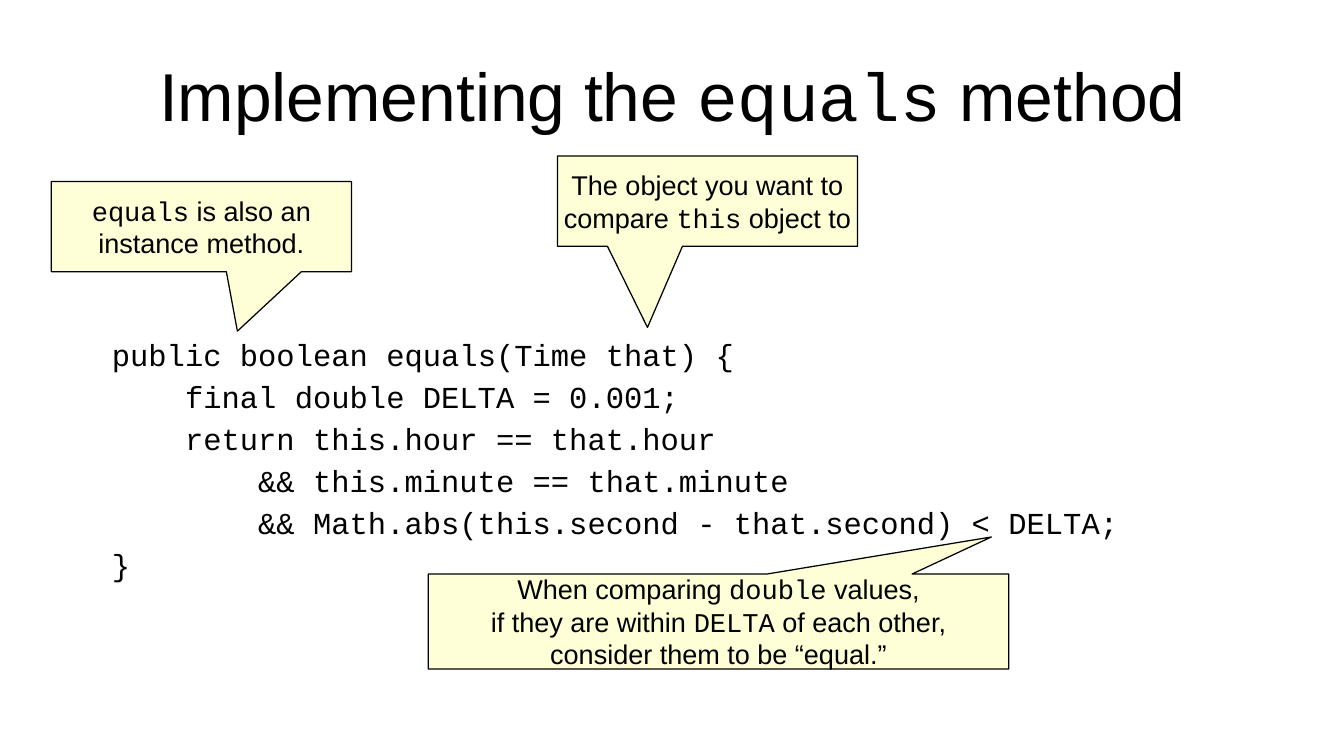
import dataclasses

import pptx
import pptx.dml.color
import pptx.enum.shapes
import pptx.enum.text
import pptx.shapes.autoshape
import pptx.slide
import pptx.text.text
import pptx.util

Cm = pptx.util.Cm
Pt = pptx.util.Pt
ALIGN = pptx.enum.text.PP_ALIGN
ANCHOR = pptx.enum.text.MSO_ANCHOR

BLACK = pptx.dml.color.RGBColor(0x00, 0x00, 0x00)
PALE_YELLOW = pptx.dml.color.RGBColor(0xFF, 0xFF, 0xD7)
PROSE_FONT = "Arial"
CODE_FONT = "Courier New"
CODE_SIZE = 18
INDENT = Pt(4 * 0.6 * CODE_SIZE)  # four monospaced characters


@dataclasses.dataclass(frozen=True)
class Box:
    """A place on the slide, in centimetres."""
    left: float
    top: float
    width: float
    height: float

    def lengths(self) -> list[pptx.util.Length]:
        """Return the four values as lengths."""
        return [Cm(value) for value in dataclasses.astuple(self)]


@dataclasses.dataclass(frozen=True)
class Callout:
    """A remark with its pointer tip relative to the box centre."""
    box: Box
    tip: tuple[float, float]
    lines: list[str]


@dataclasses.dataclass(frozen=True)
class CodeLine:
    """A line of code and its indent depth."""
    depth: int
    text: str


TITLE_BOX = Box(1.4, 0.64, 25.2, 2.64)
CODE_BOX = Box(2.08, 6.76, 22.43, 5.21)
CODE = [
    CodeLine(0, "public boolean equals(Time that) {"),
    CodeLine(1, "final double DELTA = 0.001;"),
    CodeLine(1, "return this.hour == that.hour"),
    CodeLine(2, "&& this.minute == that.minute"),
    CodeLine(2, "&& Math.abs(this.second - that.second) < DELTA;"),
    CodeLine(0, "}"),
]
CALLOUTS = [
    Callout(Box(1.07, 3.78, 6.25, 1.88), (0.12, 1.16),
            ["`equals` is also an", "instance method."]),
    Callout(Box(11.61, 3.25, 6.25, 1.88), (-0.2, 1.4),
            ["The object you want to", "compare `this` object to"]),
    Callout(Box(8.92, 11.96, 12.09, 1.98), (0.47, -0.89),
            ["When comparing `double` values,",
             "if they are within `DELTA` of each other,",
             "consider them to be “equal.”"]),
]


def write(frame: pptx.text.text.TextFrame, lines: list[str], *, size: float,
          align: ALIGN = ALIGN.CENTER, anchor: ANCHOR = ANCHOR.MIDDLE,
          wrap: bool = True, spacing: float = 1.0) -> None:
    """Write one paragraph per line; backticks enclose code."""
    frame.word_wrap = wrap
    frame.vertical_anchor = anchor
    for number, line in enumerate(lines):
        paragraph = frame.add_paragraph() if number else frame.paragraphs[0]
        paragraph.alignment = align
        paragraph.line_spacing = spacing
        for position, part in enumerate(line.split("`")):
            if part:
                run = paragraph.add_run()
                run.text = part
                run.font.name = CODE_FONT if position % 2 else PROSE_FONT
                run.font.size = Pt(size)
                run.font.color.rgb = BLACK


def add_title(slide: pptx.slide.Slide) -> None:
    """Add the heading without inner margins."""
    frame = slide.shapes.add_textbox(*TITLE_BOX.lengths()).text_frame
    frame.margin_left = frame.margin_right = Cm(0)
    frame.margin_top = frame.margin_bottom = Cm(0)
    write(frame, ["Implementing the `equals` method"], size=40)


def add_code(slide: pptx.slide.Slide) -> None:
    """Add the method's source with indented lines."""
    frame = slide.shapes.add_textbox(*CODE_BOX.lengths()).text_frame
    write(frame, [f"`{line.text}`" for line in CODE], size=CODE_SIZE,
          align=ALIGN.LEFT, anchor=ANCHOR.TOP, spacing=1.15)
    for paragraph, line in zip(frame.paragraphs, CODE):
        properties = paragraph._p.get_or_add_pPr()
        properties.set("marL", str(int(line.depth * INDENT)))
        properties.set("indent", "0")


def add_callout(slide: pptx.slide.Slide, callout: Callout) -> None:
    """Add a remark that points at a piece of code."""
    bubble = slide.shapes.add_shape(
        pptx.enum.shapes.MSO_SHAPE.RECTANGULAR_CALLOUT, *callout.box.lengths())
    bubble.shadow.inherit = False
    bubble.adjustments[0], bubble.adjustments[1] = callout.tip
    bubble.fill.solid()
    bubble.fill.fore_color.rgb = PALE_YELLOW
    bubble.line.color.rgb = BLACK
    bubble.line.width = Pt(0)
    write(bubble.text_frame, callout.lines, size=16, wrap=False)


def main() -> None:
    """Build and save the slide."""
    deck = pptx.Presentation()
    deck.slide_width, deck.slide_height = Cm(27.99), Cm(15.75)
    slide = deck.slides.add_slide(deck.slide_layouts[6])
    add_title(slide)
    add_code(slide)
    for callout in CALLOUTS:
        add_callout(slide, callout)
    deck.save("out.pptx")


main()
